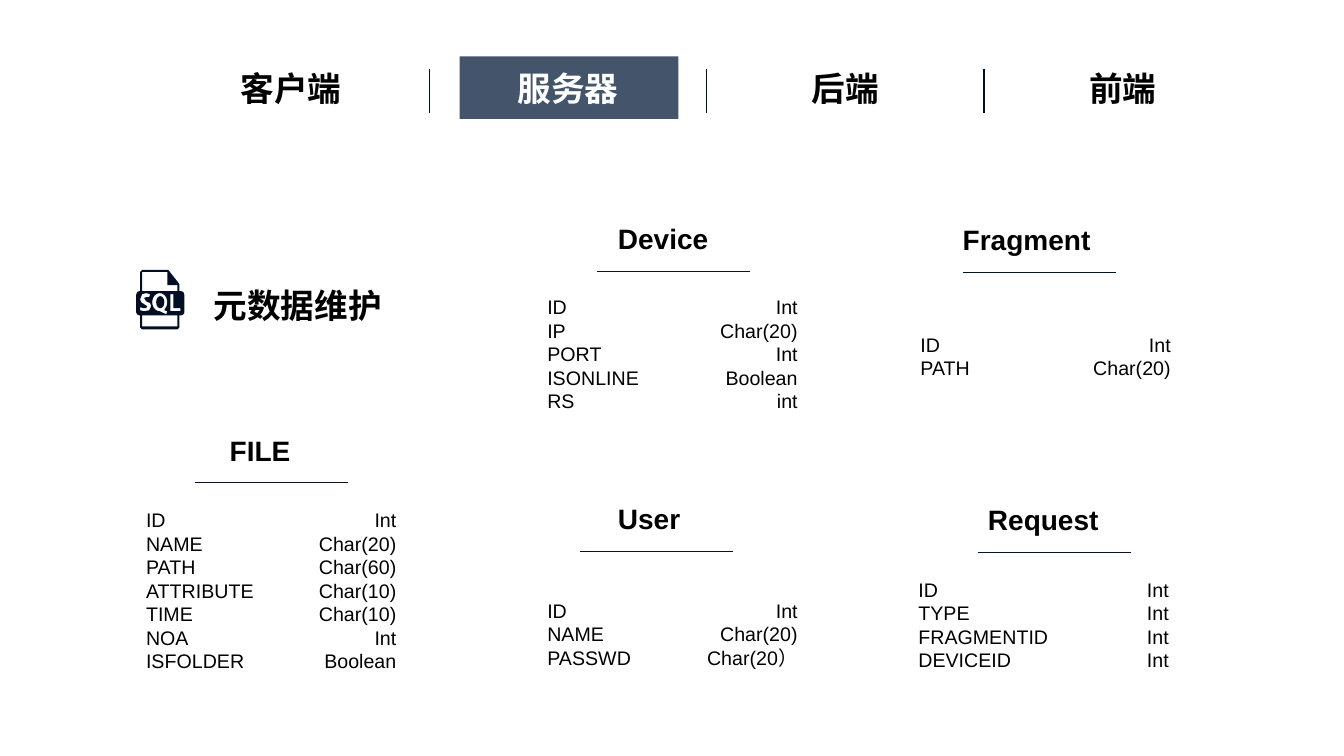
from math import cos, pi, sin

from lxml.etree import SubElement
from pptx import Presentation
from pptx.dml.color import RGBColor
from pptx.enum.shapes import MSO_CONNECTOR, MSO_SHAPE
from pptx.enum.text import MSO_ANCHOR, MSO_AUTO_SIZE, PP_ALIGN
from pptx.oxml.ns import qn
from pptx.util import Inches, Pt

BLACK = RGBColor(0x00, 0x00, 0x00)
WHITE = RGBColor(0xFF, 0xFF, 0xFF)
SLATE = RGBColor(0x44, 0x54, 0x6A)
NAVY = RGBColor(0x01, 0x0E, 0x23)
RULE_NAVY = RGBColor(0x05, 0x13, 0x2C)

TABS = ["客户端", "服务器", "后端", "前端"]
ACTIVE_TAB = "服务器"
TAB_LEFT, TAB_WIDTH = 1.51, 2.75

# Entity: title corner, left end of the rule, field list corner, fields
ENTITIES = {
    "Device": ((6.03, 2.16), 5.92, (5.33, 2.88), [
        ("ID", "Int"), ("IP", "Char(20)"), ("PORT", "Int"),
        ("ISONLINE", "Boolean"), ("RS", "int")]),
    "Request": ((9.7, 4.95), 9.7, (9.01, 5.68), [
        ("ID", "Int"), ("TYPE", "Int"), ("FRAGMENTID", "Int"),
        ("DEVICEID", "Int")]),
    "FILE": ((2.18, 4.26), 1.93, (1.35, 4.99), [
        ("ID", "Int"), ("NAME", "Char(20)"), ("PATH", "Char(60)"),
        ("ATTRIBUTE", "Char(10)"), ("TIME", "Char(10)"), ("NOA", "Int"),
        ("ISFOLDER", "Boolean")]),
    "Fragment": ((9.45, 2.17), 9.55, (9.03, 3.25), [
        ("ID", "Int"), ("PATH", "Char(20)")]),
    "User": ((6.03, 4.94), 5.75, (5.33, 5.89), [
        ("ID", "Int"), ("NAME", "Char(20)"), ("PASSWD", "Char(20）")]),
}


def ellipse(x, y, rx, ry, start=0, end=360, step=15):
    angles = [a * pi / 180 for a in range(start, end + 1, step)]
    return [(x + rx * cos(a), y + ry * sin(a)) for a in angles]


# Outlines of the file icon; inner ones cut holes in the outer one
ICON_OUTLINES = [
    # Page with the label band
    [(1.41, 2.68), (1.67, 2.68), (1.78, 2.82), (1.78, 2.89), (1.8, 2.89),
     (1.82, 2.9), (1.83, 2.93), (1.83, 3.1), (1.82, 3.12), (1.8, 3.13),
     (1.78, 3.13), (1.78, 3.25), (1.76, 3.27), (1.41, 3.27), (1.39, 3.25),
     (1.39, 3.13), (1.38, 3.13), (1.36, 3.12), (1.35, 3.1), (1.35, 2.93),
     (1.36, 2.9), (1.38, 2.89), (1.39, 2.89), (1.39, 2.7)],
    # Page above and below the band
    [(1.41, 2.7), (1.41, 2.89), (1.76, 2.89), (1.76, 2.83), (1.66, 2.83),
     (1.66, 2.7)],
    [(1.41, 3.13), (1.41, 3.24), (1.76, 3.24), (1.76, 3.13)],
    # S
    [(1.49, 2.92), (1.45, 2.91), (1.41, 2.92), (1.39, 2.97), (1.4, 3),
     (1.43, 3.02), (1.46, 3.04), (1.45, 3.06), (1.43, 3.06), (1.39, 3.05),
     (1.39, 3.08), (1.43, 3.09), (1.48, 3.08), (1.5, 3.04), (1.49, 3.01),
     (1.45, 2.99), (1.43, 2.96), (1.45, 2.95), (1.48, 2.95)],
    # Q with its tail, then its counter
    ellipse(1.585, 3, 0.075, 0.09, 90, 405) + [(1.63, 3.08), (1.66, 3.09),
                                               (1.65, 3.12)],
    ellipse(1.59, 3, 0.04, 0.06),
    # L
    [(1.69, 2.92), (1.69, 3.09), (1.79, 3.09), (1.79, 3.06), (1.72, 3.06),
     (1.72, 2.92)],
]


class SchemaSlide:
    STYLES = {
        "tab": {"size": Pt(24), "bold": True},
        "title": {"size": Pt(20), "bold": True},
        "field": {"size": Pt(14), "bold": False},
    }

    def __init__(self, slide):
        self.shapes = slide.shapes

    def text(self, lines, box, style, align=PP_ALIGN.LEFT, color=BLACK,
             heading=False, parent=None):
        shapes = parent or self.shapes
        frame = shapes.add_textbox(*map(Inches, box)).text_frame
        layout = {
            "word_wrap": not heading,
            "auto_size": (MSO_AUTO_SIZE.NONE if heading
                          else MSO_AUTO_SIZE.SHAPE_TO_FIT_TEXT),
            "vertical_anchor": MSO_ANCHOR.BOTTOM if heading else MSO_ANCHOR.TOP,
        }
        for key, value in layout.items():
            setattr(frame, key, value)
        frame.text = "\n".join(lines)
        for paragraph in frame.paragraphs:
            paragraph.alignment = align
            for run in paragraph.runs:
                run.font.color.rgb = color
                for key, value in {"name": "Arial", **self.STYLES[style]}.items():
                    setattr(run.font, key, value)

    def heading(self, title, left, top, style, parent=None):
        self.text([title], (left, top, 1.81, 0.42), style, heading=True,
                  parent=parent)

    def line(self, x1, y1, x2, y2, color, width, parent=None):
        shapes = parent or self.shapes
        rule = shapes.add_connector(MSO_CONNECTOR.STRAIGHT,
                                    *map(Inches, (x1, y1, x2, y2)))
        rule.line.color.rgb = color
        rule.line.width = Pt(width)
        SubElement(rule._element.spPr, qn("a:effectLst"))

    def fill(self, shape, color):
        shape.shadow.inherit = False
        shape.fill.solid()
        shape.fill.fore_color.rgb = color
        shape.line.fill.background()

    def panel(self, box, color):
        self.fill(self.shapes.add_shape(MSO_SHAPE.RECTANGLE, *map(Inches, box)),
                  color)

    def outline(self, contours, color):
        contours = [[(x * 1000, y * 1000) for x, y in c] for c in contours]
        builder = self.shapes.build_freeform(*contours[0][0],
                                             scale=Inches(0.001))
        builder.add_line_segments(contours[0][1:], close=True)
        for contour in contours[1:]:
            builder.move_to(*contour[0])
            builder.add_line_segments(contour[1:], close=True)
        self.fill(builder.convert_to_shape(), color)

    def entity(self, name, title_at, rule_left, fields_at, fields):
        group = self.shapes.add_group_shape().shapes
        self.heading(name, *title_at, "title", group)
        rule_top = title_at[1] + 0.53
        self.line(rule_left, rule_top, rule_left + 1.52, rule_top,
                  RULE_NAVY, 0.5, group)
        left, top = fields_at
        height = 0.1 + 0.235 * len(fields)
        names, types = zip(*fields)
        self.text(names, (left, top, 1.61, height), "field", parent=group)
        self.text(types, (left + 1.53, top, 1.15, height), "field",
                  PP_ALIGN.RIGHT, parent=group)


def main():
    deck = Presentation()
    deck.slide_width, deck.slide_height = Inches(13.33), Inches(7.5)
    schema = SchemaSlide(deck.slides.add_slide(deck.slide_layouts[6]))

    # Navigation tabs with dividers
    schema.panel((4.56, 0.56, 2.17, 0.62), SLATE)
    for index, tab in enumerate(TABS):
        left = TAB_LEFT + index * TAB_WIDTH
        schema.text([tab], (left, 0.62, TAB_WIDTH, 0.5), "tab",
                    PP_ALIGN.CENTER, WHITE if tab == ACTIVE_TAB else BLACK)
        if index:
            schema.line(left, 0.68, left, 1.12, NAVY, 1)

    # Database entities
    for name, layout in ENTITIES.items():
        schema.entity(name, *layout)

    # Topic heading with the file icon
    schema.heading("元数据维护", 2.02, 2.86, "tab")
    schema.outline(ICON_OUTLINES, NAVY)

    deck.save("out.pptx")


if __name__ == "__main__":
    main()
